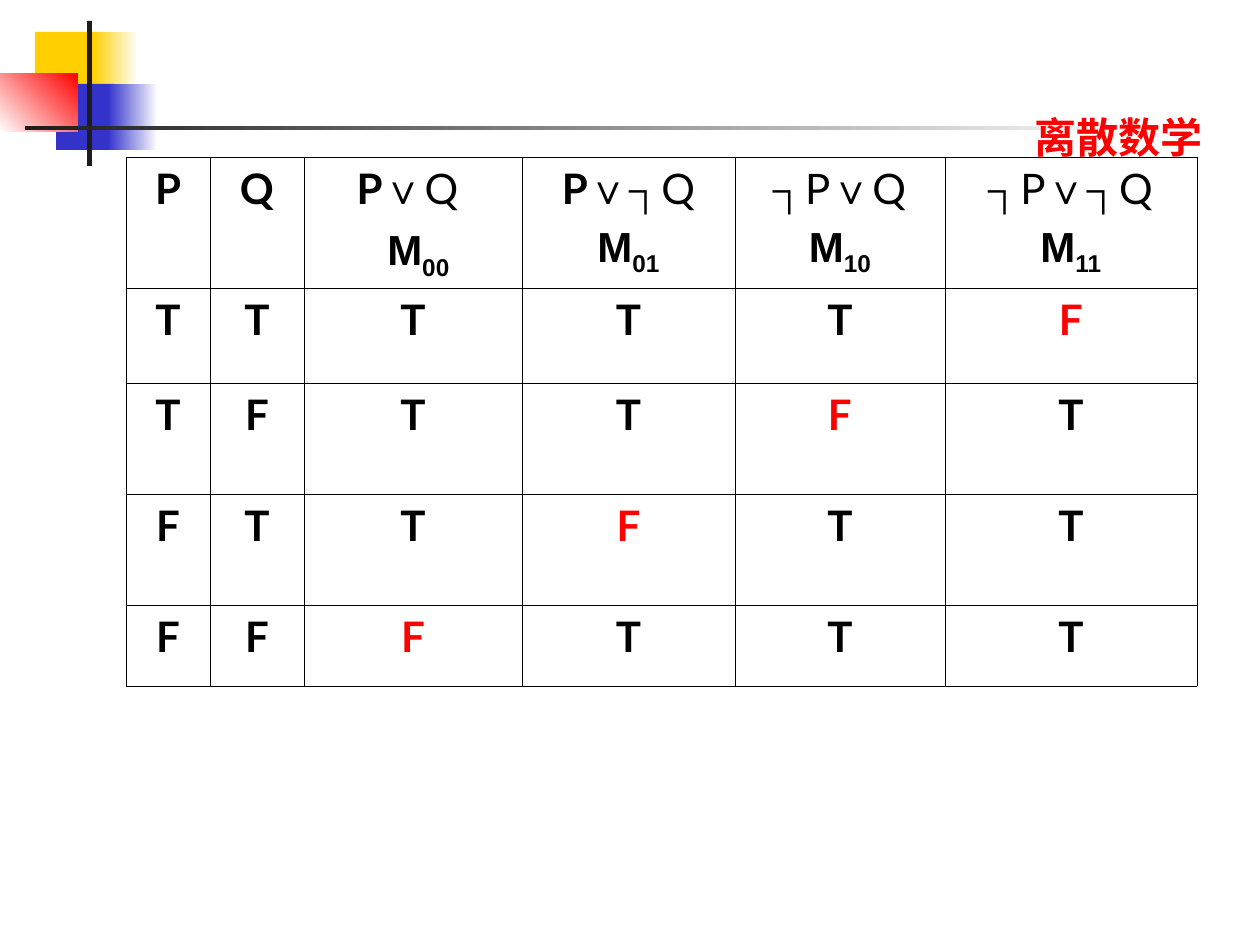
from dataclasses import dataclass

from lxml import etree
from pptx import Presentation, util as u
from pptx.dml.color import RGBColor as Rgb
from pptx.enum import shapes, text
from pptx.oxml import ns

SCALE = u.Inches(1) / 126


@dataclass(frozen=True)
class Theme:
    gold: str = "FFCF01"
    blue: str = "3333CC"
    red: str = "FF0000"
    dark: str = "1C1C1C"
    white: str = "FFFFFF"
    ink: str = "000000"
    sans: str = "Lato"
    math: str = "Arial"
    size: int = 24
    gap: int = 6
    rule: float = 0.45


@dataclass(frozen=True)
class Block:
    left: int
    top: int
    width: int
    height: int
    color: str
    fade: str = ""
    angle: int = 0


@dataclass(frozen=True)
class Part:
    text: str
    font: str
    bold: bool = True
    sub: bool = False


THEME = Theme()

# Corner ornament, back to front
BLOCKS = [
    Block(35, 32, 66, 65, THEME.gold),
    Block(93, 32, 45, 65, THEME.gold, THEME.white),
    Block(56, 84, 58, 66, THEME.blue),
    Block(108, 84, 50, 66, THEME.blue, THEME.white),
    Block(0, 73, 78, 59, THEME.white, THEME.red, 45),
    Block(87, 21, 5, 145, THEME.dark),
    Block(25, 126, 1134, 4, THEME.dark, THEME.white),
]

# Truth table
COLS = [84, 94, 218, 213, 210, 252]
ROWS = [131, 95, 111, 111, 81]
VALUES = ["TTTTTF", "TFTTFT", "FTTFTT", "FFFTTT"]
OR = Part("∨", THEME.math)


def plain(word: str) -> Part:
    return Part(word, THEME.sans, bold=False)


def strong(word: str) -> Part:
    return Part(word, THEME.sans)


def term(code: str) -> list[Part]:
    return [Part("M", THEME.math), Part(code, THEME.math, sub=True)]


HEADS = [
    [[strong("P")]],
    [[strong("Q")]],
    [[strong("P"), OR, plain("Q ")], [plain(" "), *term("00")]],
    [[strong("P"), OR, plain("┐Q")], term("01")],
    [[plain("┐P"), OR, plain("Q")], term("10")],
    [[plain("┐P"), OR, plain("┐Q")], term("11")],
]


def px(count: int) -> int:
    return round(count * SCALE)


def draw_block(slide, block: Block) -> None:
    box = slide.shapes.add_shape(
        shapes.MSO_SHAPE.RECTANGLE,
        px(block.left), px(block.top), px(block.width), px(block.height))
    box.shadow.inherit = False
    box.line.fill.background()
    if block.fade:
        box.fill.gradient()
        box.fill.gradient_angle = block.angle
        for stop, color in zip(box.fill.gradient_stops, (block.color, block.fade)):
            stop.color.rgb = Rgb.from_string(color)
            stop.position = 0 if color == block.color else 1
    else:
        box.fill.solid()
        box.fill.fore_color.rgb = Rgb.from_string(block.color)


def style(font, color: str) -> None:
    font.size = u.Pt(THEME.size)
    font.color.rgb = Rgb.from_string(color)


def draw_title(slide, words: str) -> None:
    title = slide.shapes.title
    title.left, title.top, title.width, title.height = px(1022), px(105), px(230), px(63)
    frame = title.text_frame
    frame.text = words
    frame.vertical_anchor = text.MSO_ANCHOR.TOP
    frame.auto_size = text.MSO_AUTO_SIZE.NONE
    para = frame.paragraphs[0]
    para.alignment = text.PP_ALIGN.LEFT
    style(para.font, THEME.red)
    para.font.name = THEME.sans
    para.font.bold = True
    # Keep the title in front of the fading rule
    slide.shapes._spTree.append(title._element)


def set_border(cell) -> None:
    props = cell._tc.get_or_add_tcPr()
    for spot, side in enumerate(("lnL", "lnR", "lnT", "lnB")):
        line = etree.Element(ns.qn(f"a:{side}"), w=str(u.Pt(THEME.rule)))
        fill = etree.SubElement(line, ns.qn("a:solidFill"))
        etree.SubElement(fill, ns.qn("a:srgbClr"), val=THEME.ink)
        props.insert(spot, line)


def fill_cell(cell, lines: list[list[Part]], color: str) -> None:
    cell.fill.background()
    set_border(cell)
    frame = cell.text_frame
    for index, parts in enumerate(lines):
        para = frame.add_paragraph() if index else frame.paragraphs[0]
        para.alignment = text.PP_ALIGN.CENTER
        if index:
            para.space_before = u.Pt(THEME.gap)
        style(para.font, color)
        for part in parts:
            run = para.add_run()
            run.text = part.text
            run.font.name = part.font
            run.font.bold = part.bold
            if part.sub:
                run._r.get_or_add_rPr().set("baseline", "-25000")


def draw_table(slide) -> None:
    table = slide.shapes.add_table(
        len(ROWS), len(COLS), px(126), px(157), px(sum(COLS)), px(sum(ROWS))).table
    table.first_row = table.horz_banding = False
    for col, width in zip(table.columns, COLS):
        col.width = px(width)
    for row, height in zip(table.rows, ROWS):
        row.height = px(height)
    for col, lines in enumerate(HEADS):
        fill_cell(table.cell(0, col), lines, THEME.ink)
    for row, marks in enumerate(VALUES, 1):
        for col, mark in enumerate(marks):
            # False results stand out in red
            color = THEME.red if mark == "F" and col > 1 else THEME.ink
            fill_cell(table.cell(row, col), [[strong(mark)]], color)


def main() -> None:
    deck = Presentation()
    deck.slide_width, deck.slide_height = u.Inches(10), u.Inches(7.5)
    slide = deck.slides.add_slide(deck.slide_layouts[5])
    for block in BLOCKS:
        draw_block(slide, block)
    draw_title(slide, "离散数学")
    draw_table(slide)
    deck.save("out.pptx")


if __name__ == "__main__":
    main()
